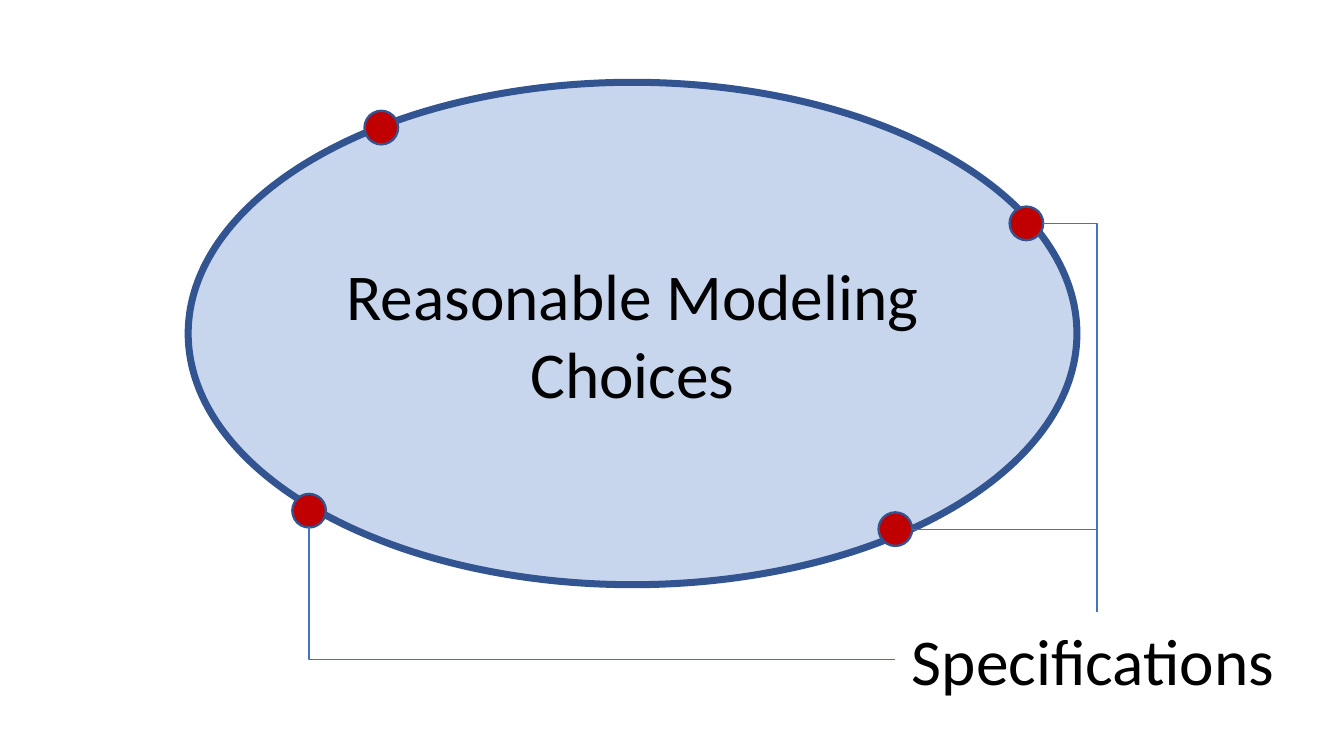
from dataclasses import dataclass

from lxml.etree import SubElement
from pptx import Presentation
from pptx.dml.color import RGBColor
from pptx.enum.shapes import MSO_CONNECTOR, MSO_SHAPE
from pptx.enum.text import MSO_ANCHOR, MSO_AUTO_SIZE, PP_ALIGN
from pptx.oxml.ns import qn
from pptx.util import Inches, Pt


@dataclass(frozen=True)
class Theme:
    font: str = "Calibri"
    text_size: Pt = Pt(28)
    text: RGBColor = RGBColor(0x00, 0x00, 0x00)
    region: RGBColor = RGBColor(0x44, 0x72, 0xC4)
    region_opacity: int = 29
    outline: RGBColor = RGBColor(0x32, 0x54, 0x91)
    dot: RGBColor = RGBColor(0xC0, 0x00, 0x00)
    region_line: Pt = Pt(3)
    dot_line: Pt = Pt(1)
    connector_line: Pt = Pt(0.5)


THEME = Theme()
DOT_SIZE = 0.2
DOT_RADIUS = DOT_SIZE / 2


def set_text(shape, text, alignment):
    paragraph = shape.text_frame.paragraphs[0]
    paragraph.text = text
    paragraph.alignment = alignment
    paragraph.font.name = THEME.font
    paragraph.font.size = THEME.text_size
    paragraph.font.color.rgb = THEME.text


def add_ellipse(slide, left, top, width, height, fill, line_width):
    shape = slide.shapes.add_shape(
        MSO_SHAPE.OVAL, Inches(left), Inches(top), Inches(width), Inches(height)
    )
    shape.shadow.inherit = False
    shape.fill.solid()
    shape.fill.fore_color.rgb = fill
    shape.line.color.rgb = THEME.outline
    shape.line.width = line_width
    return shape


def add_region(slide, text):
    region = add_ellipse(
        slide, 1.12, 0.49, 5.29, 2.99, THEME.region, THEME.region_line
    )
    color = region._element.spPr.find(qn("a:solidFill")).find(qn("a:srgbClr"))
    SubElement(color, qn("a:alpha")).set("val", str(THEME.region_opacity * 1000))
    region.text_frame.word_wrap = True
    region.text_frame.vertical_anchor = MSO_ANCHOR.MIDDLE
    set_text(region, text, PP_ALIGN.CENTER)


def add_dot(slide, center_x, center_y):
    add_ellipse(
        slide, center_x - DOT_RADIUS, center_y - DOT_RADIUS,
        DOT_SIZE, DOT_SIZE, THEME.dot, THEME.dot_line,
    )


def add_label(slide, text, left, top, width, height):
    label = slide.shapes.add_textbox(
        Inches(left), Inches(top), Inches(width), Inches(height)
    )
    label.text_frame.word_wrap = False
    label.text_frame.auto_size = MSO_AUTO_SIZE.SHAPE_TO_FIT_TEXT
    set_text(label, text, PP_ALIGN.LEFT)


def add_corner_connector(slide, begin, end):
    connector = slide.shapes.add_connector(
        MSO_CONNECTOR.ELBOW, *(Inches(value) for value in (*begin, *end))
    )
    properties = connector._element.spPr
    properties.find(qn("a:prstGeom")).set("prst", "bentConnector2")
    connector.line.color.rgb = THEME.region
    connector.line.width = THEME.connector_line
    SubElement(properties, qn("a:effectLst"))


def main():
    presentation = Presentation()
    presentation.slide_width = Inches(8)
    presentation.slide_height = Inches(4.5)
    slide = presentation.slides.add_slide(presentation.slide_layouts[6])

    right_dot, top_dot = (6.11, 1.33), (2.27, 0.76)
    left_dot, bottom_dot = (1.84, 3.04), (5.33, 3.15)
    label_left, label_top, label_width, label_height = 5.33, 3.64, 2.38, 0.57
    label_top_center = (6.53, label_top)
    label_left_center = (label_left, label_top + label_height / 2)

    add_region(slide, "Reasonable Modeling Choices")
    for center in (right_dot, top_dot, left_dot, bottom_dot):
        add_dot(slide, *center)
    add_label(
        slide, "Specifications", label_left, label_top, label_width, label_height
    )

    for center_x, center_y in (bottom_dot, right_dot):
        add_corner_connector(
            slide, (center_x + DOT_RADIUS, center_y), label_top_center
        )
    add_corner_connector(
        slide, label_left_center, (left_dot[0], left_dot[1] + DOT_RADIUS)
    )

    presentation.save("out.pptx")


if __name__ == "__main__":
    main()
